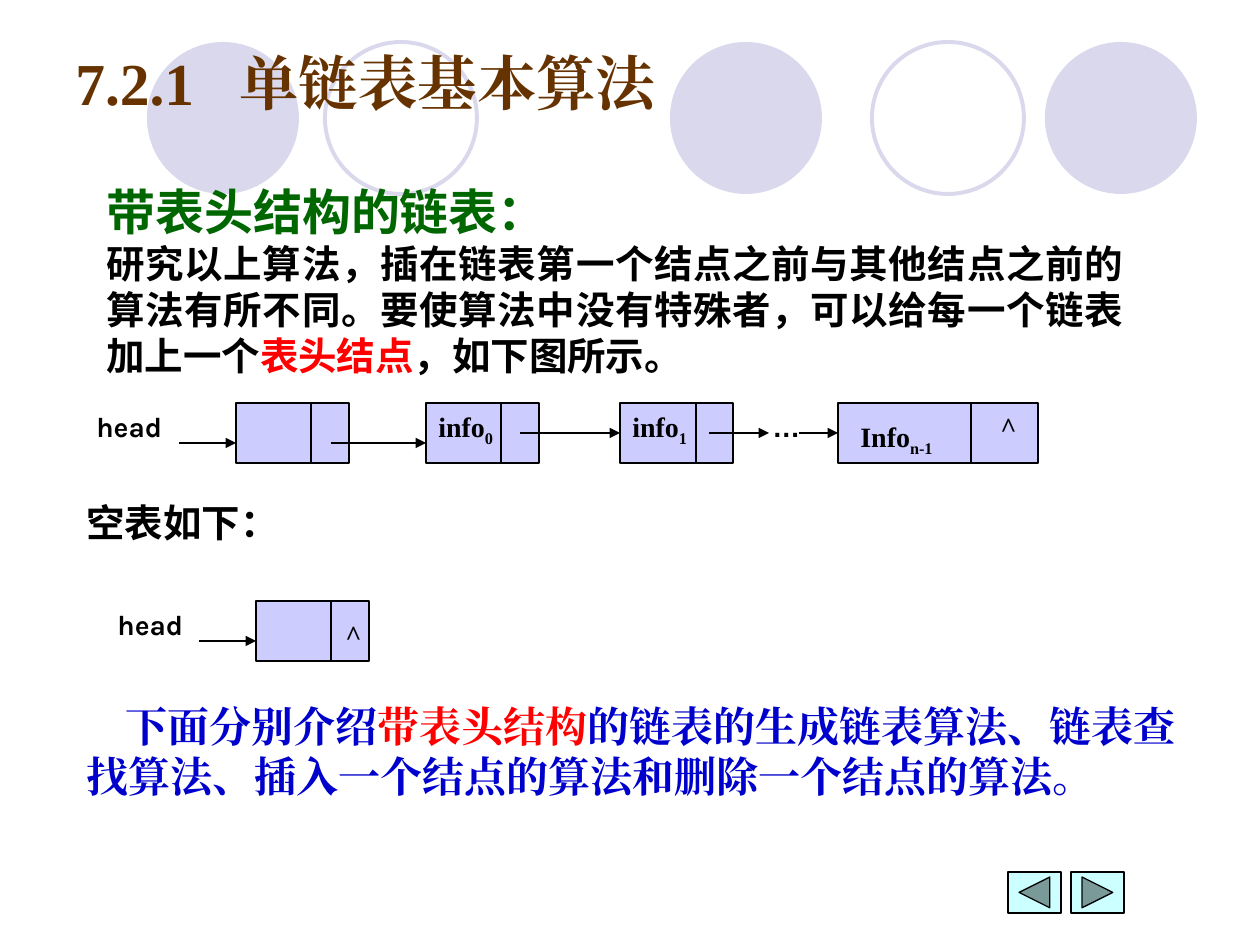
import pptx
import pptx.dml.color
import pptx.enum.shapes
import pptx.enum.text
import pptx.util
from lxml import etree
from pptx.oxml.ns import qn

PX = 7257  # EMU in one px, 126 px to the inch
rgb = pptx.dml.color.RGBColor.from_string
MSO = pptx.enum.shapes.MSO_SHAPE
ALIGN = pptx.enum.text.PP_ALIGN
TIMES = "Times New Roman"


def write(p, font, size, runs):
    """Add bold runs given as (text, colour) or (text, colour, baseline)."""
    for text, color, *baseline in runs:
        r = p.add_run()
        r.text = text
        r.font.size = pptx.util.Pt(size)
        r.font.bold = True
        r.font.color.rgb = rgb(color)
        r.font.name = font
        rPr = r._r.get_or_add_rPr()
        etree.SubElement(rPr, qn("a:ea")).set("typeface", font)
        if baseline:
            rPr.set("baseline", str(baseline[0]))


def line(x1, y1, x2, y2, arrow=True):
    c = s.shapes.add_connector(pptx.enum.shapes.MSO_CONNECTOR.STRAIGHT,
                               x1 * PX, y1 * PX, x2 * PX, y2 * PX)
    c.line.color.rgb = rgb("000000")
    c.line.width = pptx.util.Pt(0.75)
    if arrow:
        etree.SubElement(c.line._get_or_add_ln(), qn("a:tailEnd")).set("type", "triangle")
    etree.SubElement(c._element.spPr, qn("a:effectLst"))
    return c


prs = pptx.Presentation()
prs.slide_width = pptx.util.Inches(10)
prs.slide_height = pptx.util.Inches(7.5)
s = prs.slides.add_slide(prs.slide_layouts[6])

# Circles, list nodes and navigation buttons: preset, box, fill, line, line width
HEAD, FIRST, SECOND, LAST, EMPTY = range(5, 10)
shapes = [
    *((MSO.OVAL, x, 42, 152, 152, "D9D8EC", None, 0) for x in (147, 670, 1045)),
    *((MSO.OVAL, x, 42, 152, 152, None, "D9D8EC", 2.25) for x in (325, 872)),
    *((MSO.RECTANGLE, x, y, w, 60, "CCCCFF", "000000", 0.75)
      for x, y, w in ((236, 403, 113), (426, 403, 113), (620, 403, 113),
                      (838, 403, 200), (256, 601, 113))),
    (MSO.ACTION_BUTTON_BACK_OR_PREVIOUS, 1008, 872, 53, 41, "CCFFFF", "000000", 0.75),
    (MSO.ACTION_BUTTON_FORWARD_OR_NEXT, 1071, 872, 53, 41, "CCFFFF", "000000", 0.75),
]
drawn = []
for kind, x, y, w, h, fill, edge, weight in shapes:
    sp = s.shapes.add_shape(kind, x * PX, y * PX, w * PX, h * PX)
    sp.shadow.inherit = False
    if fill:
        sp.fill.solid()
        sp.fill.fore_color.rgb = rgb(fill)
    else:
        sp.fill.background()
    if edge:
        sp.line.color.rgb = rgb(edge)
        sp.line.width = pptx.util.Pt(weight)
    else:
        sp.line.fill.background()
    drawn.append(sp)

for node, index in ((FIRST, "0"), (SECOND, "1")):
    tf = drawn[node].text_frame
    tf.word_wrap = True
    tf.vertical_anchor = pptx.enum.text.MSO_ANCHOR.TOP
    tf.paragraphs[0].alignment = ALIGN.JUSTIFY
    write(tf.paragraphs[0], TIMES, 16, [("info", "000000"), (index, "000000", -25000)])

# Node dividers
for x, y in ((311, 403), (501, 403), (696, 403), (971, 403), (331, 601)):
    line(x, y, x, y + 60, arrow=False)

# Arrows between nodes
for x1, y1, x2, y2 in ((179, 443, 236, 443), (331, 443, 426, 443),
                       (709, 433, 769, 433), (199, 641, 256, 641)):
    line(x1, y1, x2, y2)
for x, node in ((520, SECOND), (799, LAST)):
    line(x, 433, shapes[node][1], 433).end_connect(drawn[node], 1)

# Small labels: box, font, runs
for x, y, w, h, font, runs in (
    (84, 403, 158, 47, "Karla", [("head", "000000")]),
    (105, 601, 158, 47, "Karla", [("head", "000000")]),
    (848, 413, 110, 52, TIMES, [("Info", "000000"), ("n-1", "000000", -25000)]),
    (988, 403, 30, 47, TIMES, [("^", "000000")]),
    (333, 611, 30, 47, TIMES, [("^", "000000")]),
    (760, 403, 53, 47, "Arial", [("…", "000000")]),
):
    tf = s.shapes.add_textbox(x * PX, y * PX, w * PX, h * PX).text_frame
    tf.word_wrap = runs[0][0] != "…"
    write(tf.paragraphs[0], font, 16, runs)

# Title
tf = s.shapes.add_textbox(63 * PX, 38 * PX, 1134 * PX, 87 * PX).text_frame
tf.word_wrap = True
tf.vertical_anchor = pptx.enum.text.MSO_ANCHOR.MIDDLE
p = tf.paragraphs[0]
tabs = etree.SubElement(p._p.get_or_add_pPr(), qn("a:tabLst"))
etree.SubElement(tabs, qn("a:tab"), pos=str(164 * PX), algn="l")
write(p, TIMES, 34, [("7.2.1\t单链表基本算法", "663300")])

# Body text: box, then paragraphs of font, size, alignment, first-line indent, runs
for x, y, w, h, paragraphs in (
    (94, 175, 1042, 210, [
        ("Arial", 28, ALIGN.JUSTIFY, 0, [("带表头结构的链表：", "006600")]),
        ("Arial", 22, ALIGN.JUSTIFY, 0, [
            ("研究以上算法，插在链表第一个结点之前与其他结点之前的算法有所不同。"
             "要使算法中没有特殊者，可以给每一个链表加上一个", "000000"),
            ("表头结点", "FF0000"),
            ("，如下图所示。", "000000")]),
    ]),
    (74, 493, 287, 59, [("Arial", 22, ALIGN.LEFT, 0, [("空表如下：", "000000")])]),
    (74, 694, 1152, 115, [
        (TIMES, 24, ALIGN.LEFT, 39, [
            ("下面分别介绍", "0000CC"),
            ("带表头结构", "FF0000"),
            ("的链表的生成链表算法、链表查找算法、插入一个结点的算法和删除一个结点的算法。",
             "0000CC")]),
    ]),
):
    tf = s.shapes.add_textbox(x * PX, y * PX, w * PX, h * PX).text_frame
    tf.word_wrap = True
    for i, (font, size, align, indent, runs) in enumerate(paragraphs):
        p = tf.add_paragraph() if i else tf.paragraphs[0]
        p.alignment = align
        p.line_spacing = pptx.util.Pt(round(size * 1.2, 1))
        if indent:
            p._p.get_or_add_pPr().set("indent", str(indent * PX))
        write(p, font, size, runs)

prs.save("out.pptx")
